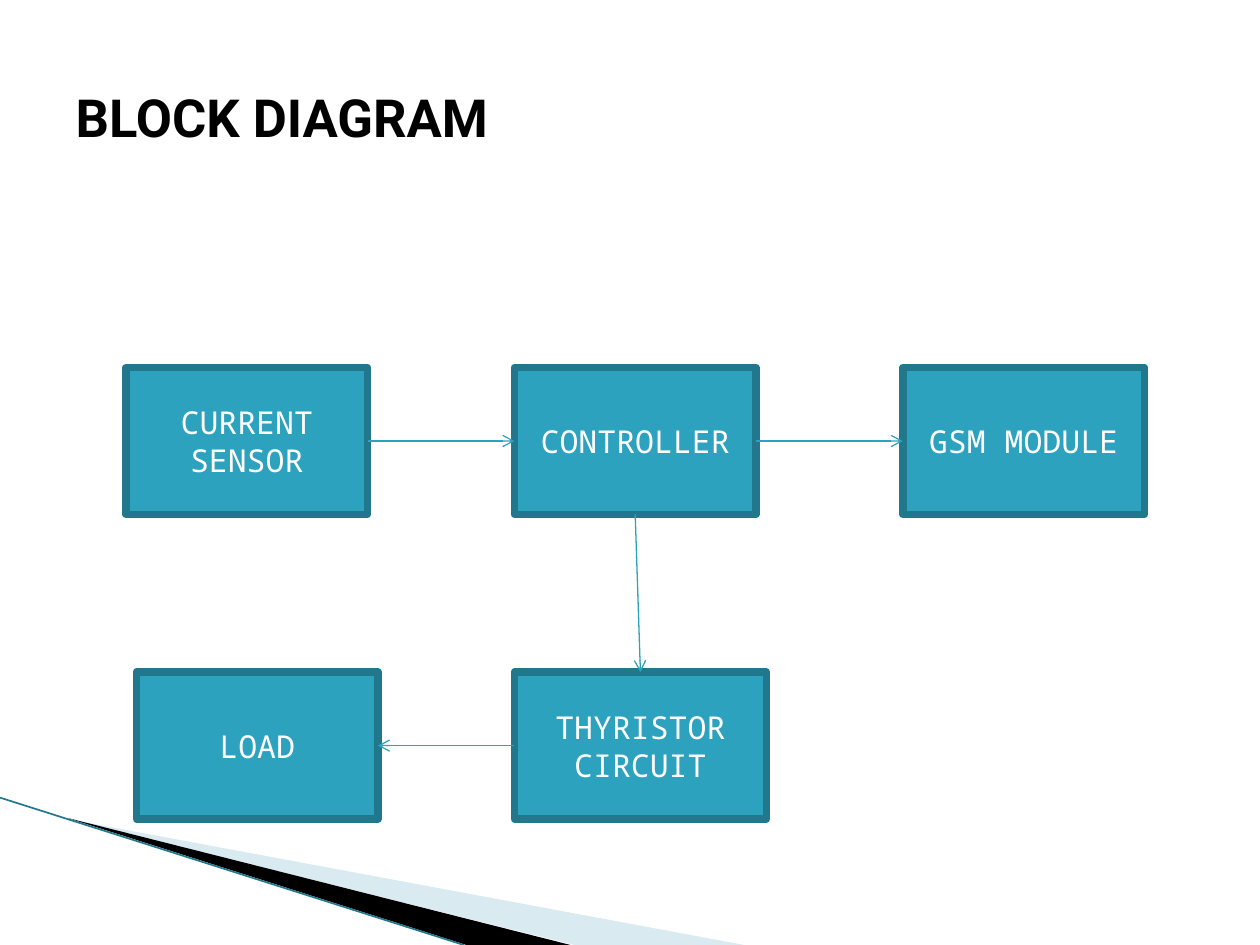
from pptx import Presentation
from pptx.dml.color import RGBColor
from pptx.enum.shapes import MSO_CONNECTOR, MSO_SHAPE
from pptx.enum.text import MSO_ANCHOR, PP_ALIGN
from pptx.oxml.ns import qn
from pptx.util import Cm, Pt
from lxml.etree import SubElement

TITLE = "BLOCK DIAGRAM"
TEAL, DARK_TEAL = "2DA2BF", "21788D"

# Blocks: text, column, row, shift to the right, width (cm)
BLOCKS = {
    "sensor": ("CURRENT SENSOR", 0, 0, 0, 4.87),
    "controller": ("CONTROLLER", 1, 0, 0, 4.87),
    "gsm": ("GSM MODULE", 2, 0, 0, 4.87),
    "load": ("LOAD", 0, 1, 0.21, 4.87),
    "thyristor": ("THYRISTOR\nCIRCUIT", 1, 1, 0, 5.08),
}
GRID_LEFT, GRID_TOP = 2.54, 7.41
COLUMN_STEP, ROW_STEP = 7.83, 6.14
BLOCK_HEIGHT = 2.96

# Arrows between the connection sites of the blocks
TOP, LEFT, BOTTOM, RIGHT = range(4)
ARROWS = [
    ("sensor", RIGHT, "controller", LEFT),
    ("controller", RIGHT, "gsm", LEFT),
    ("controller", BOTTOM, "thyristor", TOP),
    ("thyristor", LEFT, "load", RIGHT),
]

# Corner decoration: fill, opacity in percent, corners (cm)
WEDGES = [
    ("A0CBDC", 40, [(1.4, 16.52), (15.0, 19.05), (11.58, 19.05)]),
    ("000000", 100, [(1.36, 16.49), (11.5, 19.05), (9.4, 19.05)]),
]
EDGE = [(0, 16.08), (9.35, 19.05)]


def colour(hex_text):
    return RGBColor.from_string(hex_text)


def style_font(paragraph, name, size, hex_text, bold=False):
    for run in paragraph.runs:
        run.font.name, run.font.size, run.font.bold = name, Pt(size), bold
        run.font.color.rgb = colour(hex_text)


def add_line(slide, start, end, hex_text, width):
    line = slide.shapes.add_connector(
        MSO_CONNECTOR.STRAIGHT, *(Cm(v) for v in (*start, *end)))
    line.line.color.rgb = colour(hex_text)
    line.line.width = Pt(width)
    SubElement(line._element.spPr, qn("a:effectLst"))
    return line


def add_wedge(slide, fill, opacity, corners):
    points = [(Cm(x), Cm(y)) for x, y in corners]
    builder = slide.shapes.build_freeform(*points[0])
    builder.add_line_segments(points[1:], close=True)
    wedge = builder.convert_to_shape()
    wedge.shadow.inherit = False
    wedge.fill.solid()
    wedge.fill.fore_color.rgb = colour(fill)
    wedge.line.fill.background()
    if opacity < 100:
        tone = wedge._element.spPr.find(qn("a:solidFill"))[0]
        SubElement(tone, qn("a:alpha"), val=str(opacity * 1000))


def add_block(slide, text, column, row, shift, width):
    block = slide.shapes.add_shape(
        MSO_SHAPE.RECTANGLE,
        Cm(GRID_LEFT + column * COLUMN_STEP + shift),
        Cm(GRID_TOP + row * ROW_STEP), Cm(width), Cm(BLOCK_HEIGHT))
    block.shadow.inherit = False
    block.fill.solid()
    block.fill.fore_color.rgb = colour(TEAL)
    block.line.color.rgb = colour(DARK_TEAL)
    block.line.width = Pt(4.33)
    SubElement(block.line._get_or_add_ln(), qn("a:round"))
    frame = block.text_frame
    frame.word_wrap = True
    frame.vertical_anchor = MSO_ANCHOR.MIDDLE
    frame.text = text
    for paragraph in frame.paragraphs:
        paragraph.alignment = PP_ALIGN.CENTER
        style_font(paragraph, "Noto Sans Mono", 18, "FFFFFF")
    return block


def main():
    deck = Presentation()
    deck.slide_width, deck.slide_height = Cm(25.4), Cm(19.05)
    slide = deck.slides.add_slide(deck.slide_layouts[5])

    # Corner decoration
    for wedge in WEDGES:
        add_wedge(slide, *wedge)
    add_line(slide, *EDGE, DARK_TEAL, 0.95)

    # Title
    title = slide.shapes.title
    title.left, title.top, title.width, title.height = (
        Cm(1.27), Cm(0.76), Cm(22.86), Cm(3.18))
    title.text_frame.text = TITLE
    title.text_frame.vertical_anchor = MSO_ANCHOR.MIDDLE
    heading = title.text_frame.paragraphs[0]
    heading.alignment = PP_ALIGN.LEFT
    style_font(heading, "Roboto", 30, "000000", bold=True)

    # Blocks and arrows
    blocks = {key: add_block(slide, *block) for key, block in BLOCKS.items()}
    for source, source_site, target, target_site in ARROWS:
        arrow = add_line(slide, (0, 0), (0, 0), TEAL, 0.75)
        arrow.begin_connect(blocks[source], source_site)
        arrow.end_connect(blocks[target], target_site)
        SubElement(arrow.line._get_or_add_ln(), qn("a:tailEnd"), type="arrow")

    deck.save("out.pptx")


if __name__ == "__main__":
    main()
